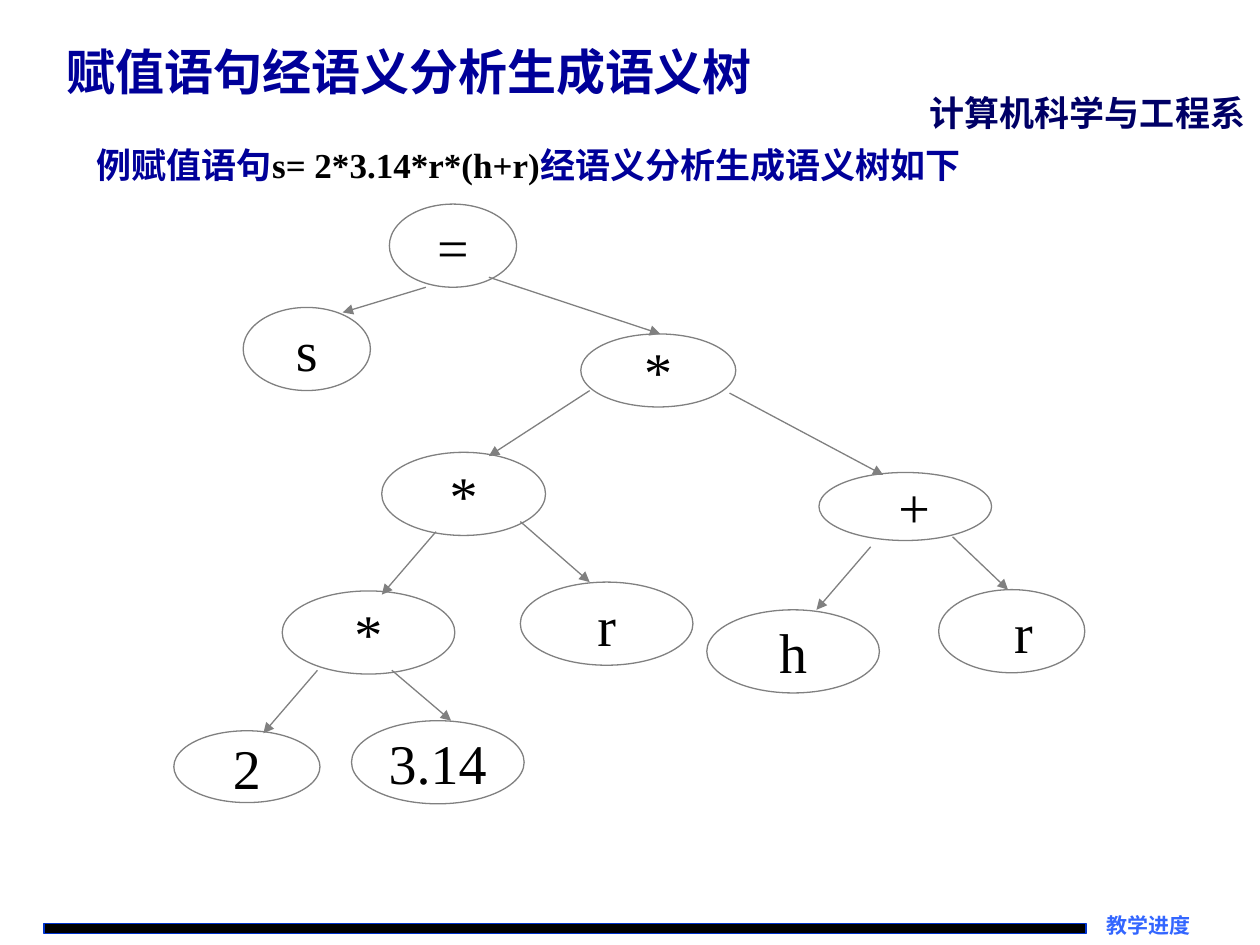
from lxml import etree
from pptx import Presentation
from pptx.dml.color import RGBColor
from pptx.enum.shapes import MSO_CONNECTOR, MSO_SHAPE
from pptx.enum.text import MSO_ANCHOR, MSO_AUTO_SIZE, PP_ALIGN
from pptx.oxml.ns import qn
from pptx.util import Inches, Pt

LEFT, CENTER, RIGHT = PP_ALIGN.LEFT, PP_ALIGN.CENTER, PP_ALIGN.RIGHT
TOP, MIDDLE = MSO_ANCHOR.TOP, MSO_ANCHOR.MIDDLE
NO_FIT = MSO_AUTO_SIZE.NONE
OVAL, RECTANGLE = MSO_SHAPE.OVAL, MSO_SHAPE.RECTANGLE
STRAIGHT = MSO_CONNECTOR.STRAIGHT

FONT = "Times New Roman"
COLORS = {
    "title": "000099",
    "department": "000066",
    "progress": "3366FF",
    "ink": "000000",
    "bar_line": "0033CC",
    "tree_line": "808080",
}

deck = Presentation()
deck.slide_width, deck.slide_height = Inches(10), Inches(7.5)
page = deck.slides.add_slide(deck.slide_layouts[5])
COLUMN = deck.slide_width / 100
ROW = deck.slide_height / 75


def place(columns, rows):
    return round(columns * COLUMN), round(rows * ROW)


def write(box, *spans, size=20, bold=True, align=LEFT, anchor=MIDDLE,
          wrap=True, before=0, insets=(0.1, 0.05, 0.1, 0.05)):
    frame = box.text_frame
    frame.auto_size = NO_FIT
    frame.word_wrap = wrap
    frame.vertical_anchor = anchor
    (frame.margin_left, frame.margin_top,
     frame.margin_right, frame.margin_bottom) = map(Inches, insets)
    para = frame.paragraphs[0]
    para.alignment = align
    para.space_before = Pt(before)
    for text, color in spans:
        span = para.add_run()
        span.text = text
        span.font.name = FONT
        span.font.size = Pt(size)
        span.font.bold = bold
        span.font.color.rgb = RGBColor.from_string(COLORS[color])


bar = page.shapes.add_shape(RECTANGLE, *place(3.5, 73.3), *place(82.7, 0.8))
bar.shadow.inherit = False
bar.fill.solid()
bar.fill.fore_color.rgb = RGBColor.from_string(COLORS["ink"])
bar.line.color.rgb = RGBColor.from_string(COLORS["bar_line"])
bar.line.width = Pt(0.75)

progress = page.shapes.add_textbox(*place(86.2, 72.4), *place(8.3, 2.1))
write(progress, ("教学进度", "progress"), size=12, align=RIGHT, anchor=TOP,
      before=7.5, insets=(0, 0, 0, 0))

department = page.shapes.add_textbox(*place(72.8, 6.8), *place(27.2, 4.4))
write(department, ("计算机科学与工程系", "department"), anchor=TOP, before=12.5)

title = page.shapes.title
title.left, title.top = place(4.3, 2.1)
title.width, title.height = place(67.5, 7.1)
write(title, ("赋值语句经语义分析生成语义树", "title"), size=28)

example = page.shapes.add_textbox(*place(6.7, 9.9), *place(91, 6.3))
write(example, ("例赋值语句", "title"), ("s= 2*3.14*r*(h+r)", "ink"),
      ("经语义分析生成语义树如下", "title"))

CENTERED = {"align": CENTER, "wrap": False}
INDENTED = {"insets": (0.43, 0.05, 0.1, 0.05)}
nodes = [
    ("=", 30.9, 16.2, 10.1, 6.6, CENTERED),
    ("s", 19.3, 24.4, 10.1, 6.6, CENTERED),
    ("*", 46.1, 26.5, 12.3, 5.8, CENTERED),
    ("*", 30.3, 35.9, 13, 6.6, CENTERED),
    ("+", 65, 37.5, 13.7, 5.4, INDENTED),
    ("*", 22.4, 46.9, 13.7, 6.6, CENTERED),
    ("r", 41.3, 46.2, 13.7, 6.6, CENTERED),
    ("h", 56.1, 48.4, 13.7, 6.6, CENTERED),
    ("r", 74.5, 46.8, 11.6, 6.6, INDENTED),
    ("2", 13.8, 58, 11.6, 5.7, CENTERED),
    ("3.14", 27.9, 57.2, 13.7, 6.6, CENTERED),
]
for symbol, left, top, width, height, layout in nodes:
    node = page.shapes.add_shape(OVAL, *place(left, top), *place(width, height))
    node.shadow.inherit = False
    node.fill.background()
    node.line.color.rgb = RGBColor.from_string(COLORS["tree_line"])
    node.line.width = Pt(0.75)
    write(node, (symbol, "ink"), size=32, bold=False, **layout)

branches = [
    (33.8, 22.8, 27.2, 24.8),
    (38.8, 22, 52.4, 26.5),
    (46.8, 31, 38.8, 36.2),
    (57.9, 31.2, 70.1, 37.7),
    (34.6, 42.2, 30.3, 47.2),
    (41.3, 41.4, 46.8, 46.2),
    (69.1, 43.4, 64.8, 48.4),
    (75.6, 42.6, 80, 46.8),
    (25.2, 53.2, 20.9, 58.2),
    (31.1, 53.2, 35.8, 57.2),
]
for start_x, start_y, end_x, end_y in branches:
    branch = page.shapes.add_connector(
        STRAIGHT, *place(start_x, start_y), *place(end_x, end_y))
    branch.line.color.rgb = RGBColor.from_string(COLORS["tree_line"])
    branch.line.width = Pt(0.75)
    etree.SubElement(branch.line._get_or_add_ln(), qn("a:tailEnd"), type="triangle")
    etree.SubElement(branch._element.spPr, qn("a:effectLst"))

deck.save("out.pptx")
